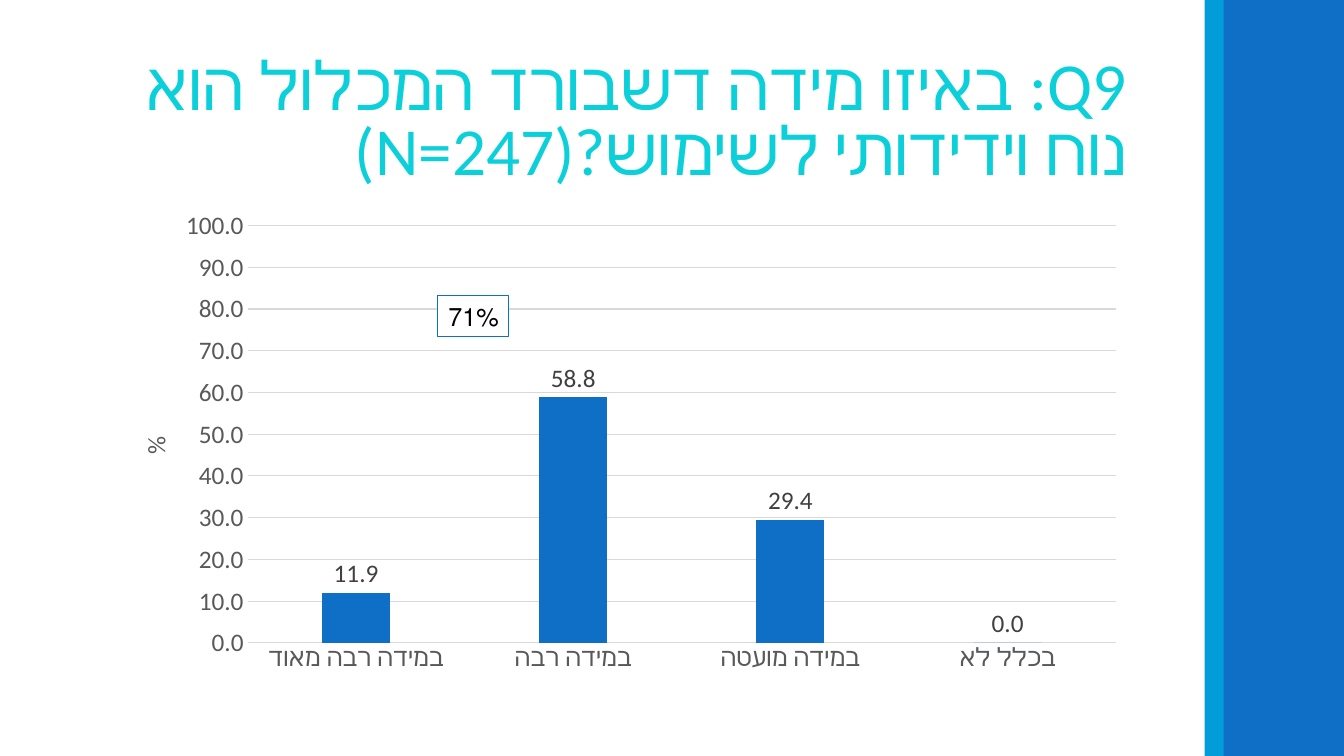
from dataclasses import dataclass

import pptx
import pptx.chart.data
import pptx.dml.color
import pptx.enum.chart
import pptx.enum.shapes
import pptx.enum.text
import pptx.oxml.ns
import pptx.util
from lxml import etree

Pt = pptx.util.Pt
qn = pptx.oxml.ns.qn


@dataclass(frozen=True)
class Theme:
    font: str = "Calibri"
    blue: str = "0F6FC6"
    sky: str = "009DD9"
    title: str = "0BD0D9"
    axis_text: str = "595959"
    label_text: str = "404040"
    grid: str = "D9D9D9"
    white: str = "FFFFFF"
    black: str = "000000"
    title_size: float = 48
    text_size: float = 18


@dataclass(frozen=True)
class Box:
    left: float
    top: float
    width: float
    height: float

    def lengths(self) -> tuple:
        return Pt(self.left), Pt(self.top), Pt(self.width), Pt(self.height)


@dataclass(frozen=True)
class Band:
    box: Box
    color: str


THEME = Theme()
SIDE_BANDS = [
    Band(Box(860.5, 0, 14, 540), THEME.sky),
    Band(Box(874, 0, 86, 540), THEME.blue),
]
QUESTION = "Q9: באיזו מידה דשבורד המכלול הוא נוח וידידותי לשימוש?(N=247)"
QUESTION_BOX = Box(73.4, 36, 738.7, 104.4)
ANSWERS_BOX = Box(73.4, 144, 738.7, 342.7)
ANSWERS = {
    "במידה רבה מאוד": 11.9,
    "במידה רבה": 58.8,
    "במידה מועטה": 29.4,
    "בכלל לא": 0,
}
FAVOURABLE_BOX = Box(312.3, 211.2, 51.1, 29.1)


def rgb(color: str) -> pptx.dml.color.RGBColor:
    return pptx.dml.color.RGBColor.from_string(color)


def style_font(font, size: float, color: str) -> None:
    font.name = THEME.font
    font.size = Pt(size)
    font.bold = False
    font.color.rgb = rgb(color)


def add_rect(slide, box: Box, fill: str):
    rect = slide.shapes.add_shape(pptx.enum.shapes.MSO_SHAPE.RECTANGLE, *box.lengths())
    rect.shadow.inherit = False
    rect.fill.solid()
    rect.fill.fore_color.rgb = rgb(fill)
    rect.line.fill.background()
    return rect


def write_rtl(frame, text: str, size: float, color: str):
    paragraph = frame.paragraphs[0]
    paragraph.alignment = pptx.enum.text.PP_ALIGN.RIGHT
    paragraph._p.get_or_add_pPr().set("rtl", "1")
    run = paragraph.add_run()
    run.text = text
    style_font(run.font, size, color)
    return paragraph, run


def set_layout(parent, index: int, **places) -> None:
    """Fix a chart part at fractions of the chart area."""
    for old in parent.findall(qn("c:layout")):
        parent.remove(old)
    layout = etree.Element(qn("c:layout"))
    manual = etree.SubElement(layout, qn("c:manualLayout"))
    for tag, value in places.items():
        etree.SubElement(manual, qn(f"c:{tag}")).set("val", str(value))
    parent.insert(index, layout)


def add_question(slide) -> None:
    title = slide.shapes.title
    title.left, title.top, title.width, title.height = QUESTION_BOX.lengths()
    frame = title.text_frame
    frame.word_wrap = True
    frame.auto_size = pptx.enum.text.MSO_AUTO_SIZE.NONE
    frame.vertical_anchor = pptx.enum.text.MSO_ANCHOR.MIDDLE
    paragraph, run = write_rtl(frame, QUESTION, THEME.title_size, THEME.title)
    paragraph.line_spacing = 0.8
    # Hebrew letters take the complex-script font
    etree.SubElement(run._r.get_or_add_rPr(), qn("a:cs")).set("typeface", THEME.font)


def style_axis(axis) -> None:
    axis.major_tick_mark = axis.minor_tick_mark = pptx.enum.chart.XL_TICK_MARK.NONE
    style_font(axis.tick_labels.font, THEME.text_size, THEME.axis_text)


def style_line(line) -> None:
    line.color.rgb = rgb(THEME.grid)
    line.width = Pt(0.75)


def add_answers(slide) -> None:
    data = pptx.chart.data.CategoryChartData(number_format="0.0")
    data.categories = list(ANSWERS)
    data.add_series("Series 1", list(ANSWERS.values()))
    chart = slide.shapes.add_chart(
        pptx.enum.chart.XL_CHART_TYPE.COLUMN_CLUSTERED, *ANSWERS_BOX.lengths(), data
    ).chart
    chart.has_legend = chart.has_title = False
    style_font(chart.font, THEME.text_size, THEME.black)

    # Axes
    answers, percent = chart.category_axis, chart.value_axis
    style_axis(answers)
    style_line(answers.format.line)
    style_axis(percent)
    percent.minimum_scale, percent.maximum_scale, percent.major_unit = 0, 100, 10
    percent.tick_labels.number_format = "0.0"
    percent.tick_labels.number_format_is_linked = False
    percent.format.line.fill.background()
    style_line(percent.major_gridlines.format.line)
    frame = percent.axis_title.text_frame
    unit = frame.paragraphs[0].add_run()
    unit.text = "%"
    style_font(unit.font, THEME.text_size, THEME.axis_text)
    frame._txBody.bodyPr.set("rot", "-5400000")
    frame._txBody.bodyPr.set("vert", "horz")
    set_layout(percent.axis_title._element, 1, xMode="edge", yMode="edge", x=0.03, y=0.48)

    # Columns and their values
    plot = chart.plots[0]
    plot.gap_width, plot.overlap = 219, -27
    plot.vary_by_categories = False
    shares = plot.series[0]
    shares.format.fill.solid()
    shares.format.fill.fore_color.rgb = rgb(THEME.blue)
    labels = shares.data_labels
    labels.show_value = True
    labels.position = pptx.enum.chart.XL_LABEL_POSITION.OUTSIDE_END
    labels.number_format = "0.0"
    labels.number_format_is_linked = False
    style_font(labels.font, THEME.text_size, THEME.label_text)
    set_layout(chart._chartSpace.chart.plotArea, 0, layoutTarget="inner",
               xMode="edge", yMode="edge", x=0.14, y=0.05, w=0.84, h=0.87)


def add_favourable_share(slide) -> None:
    badge = add_rect(slide, FAVOURABLE_BOX, THEME.white)
    badge.line.color.rgb = rgb(THEME.blue)
    badge.line.width = Pt(1)
    frame = badge.text_frame
    frame.word_wrap = False
    frame.auto_size = pptx.enum.text.MSO_AUTO_SIZE.SHAPE_TO_FIT_TEXT
    write_rtl(frame, "71%", THEME.text_size, THEME.black)


def main() -> None:
    deck = pptx.Presentation()
    deck.slide_width, deck.slide_height = Pt(960), Pt(540)
    slide = deck.slides.add_slide(deck.slide_layouts.get_by_name("Title Only"))
    for band in SIDE_BANDS:
        add_rect(slide, band.box, band.color)
    add_question(slide)
    add_answers(slide)
    add_favourable_share(slide)
    deck.save("out.pptx")


if __name__ == "__main__":
    main()
